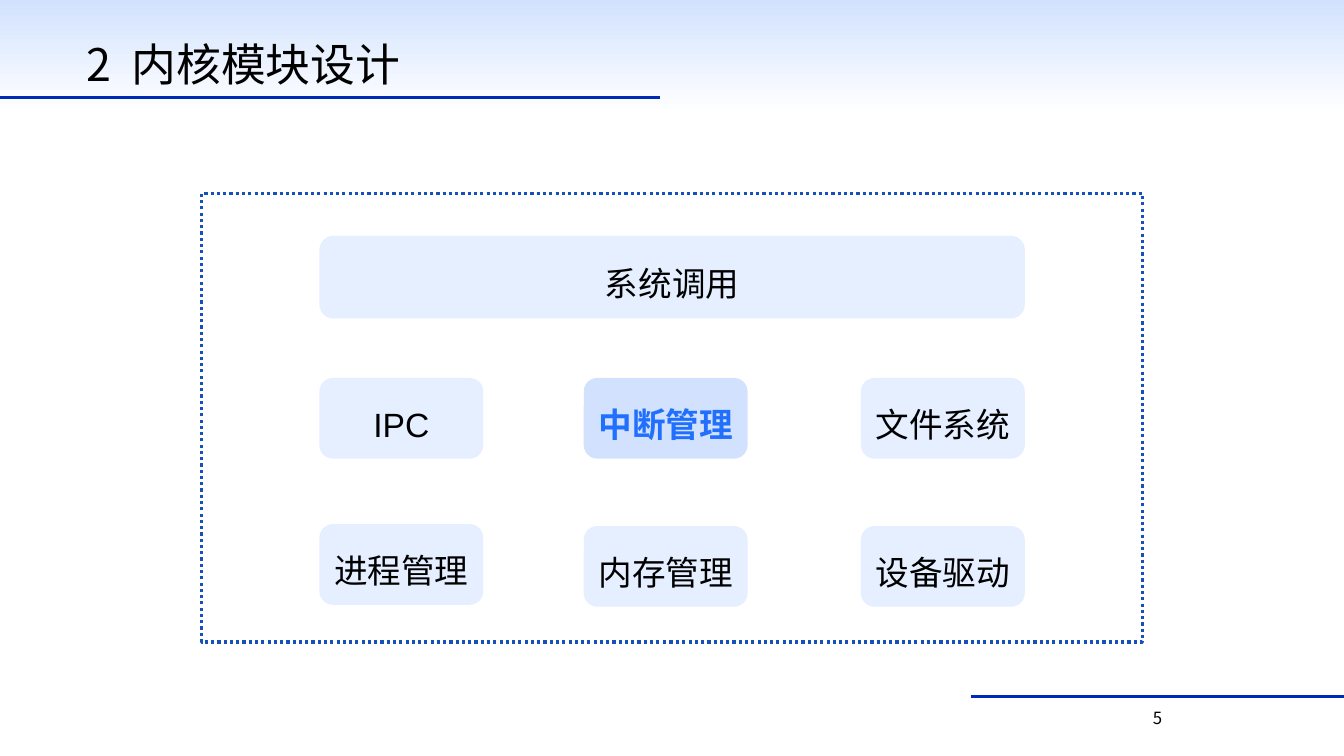
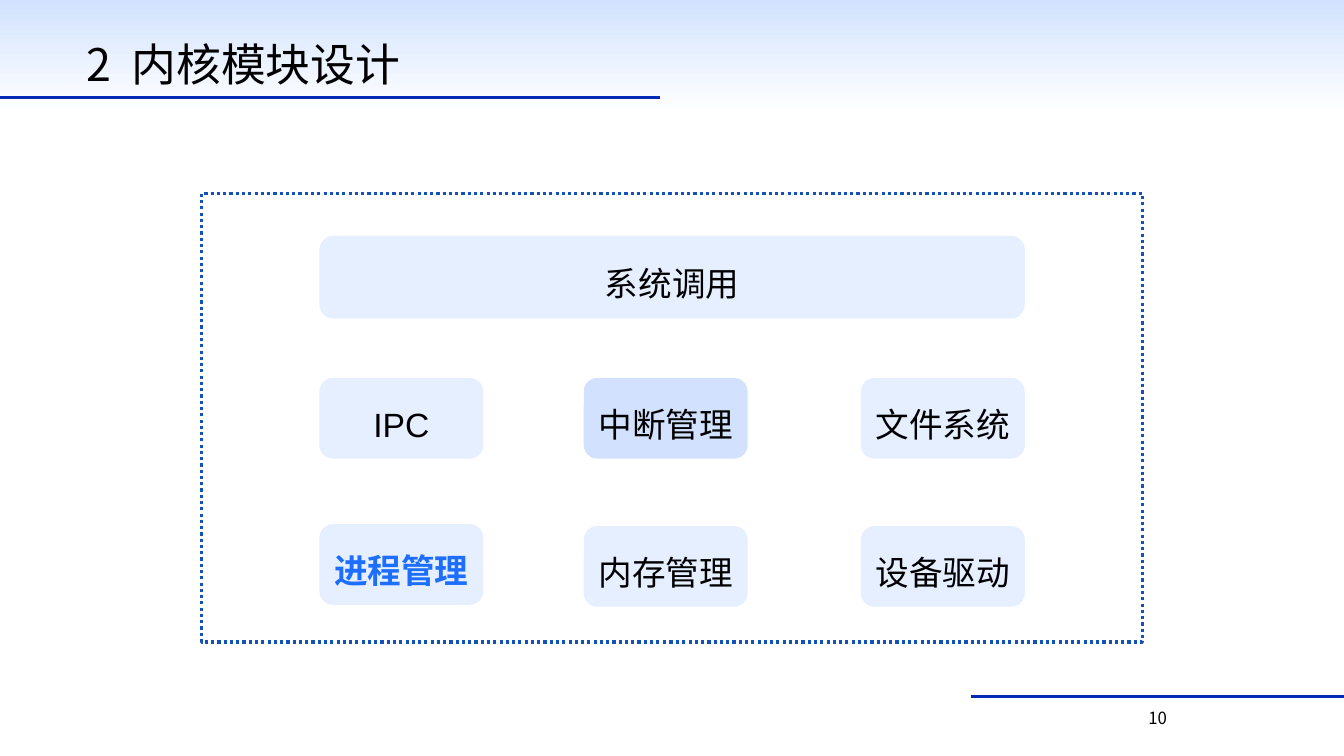
"""Builds the two kernel module overview slides."""
from dataclasses import dataclass

import pptx
import pptx.dml.color
import pptx.enum.dml
import pptx.enum.shapes
import pptx.enum.text
import pptx.oxml.ns
import pptx.util
from lxml import etree

Pt = pptx.util.Pt
ALIGN = pptx.enum.text.PP_ALIGN
ANCHOR = pptx.enum.text.MSO_ANCHOR
FIT = pptx.enum.text.MSO_AUTO_SIZE
SHAPE = pptx.enum.shapes.MSO_SHAPE


@dataclass(frozen=True)
class Theme:
    """Colours, fonts and type sizes of the deck."""
    text: str = "000000"
    paper: str = "FFFFFF"
    band: str = "D2E2FE"
    rule: str = "0029B5"
    frame: str = "1551BA"
    module: str = "E5EFFF"
    core_module: str = "D2E2FE"
    interrupt_accent: str = "2070FD"
    process_accent: str = "1D6EFC"
    latin: str = "Arial"
    chinese: str = "Noto Sans CJK SC"
    title_size: int = 32
    module_size: int = 24
    number_size: int = 12


THEME = Theme()
SLIDE_SIZE = (960, 540)
TITLE_NUMBER, TITLE_TEXT = "2 ", "内核模块设计"
TITLE_AREA = (54.7, 5, 294.5, 64.1)
TITLE_GAP = 3.5
NUMBER_AREA = (685.4, 497.5, 283, 26)
RULES = [(693.4, 960, 497.5), (0, 471.6, 69.8)]
FRAME_AREA = (144, 138.2, 672, 320.4)

COLUMNS = (228.2, 417, 615)
MODULE_SIZE = (117, 57.6)
CALLS_TOP, CALLS_HEIGHT = 168.5, 59
SYSTEM_CALLS = "系统调用"
CORE_MODULE = "中断管理"
MODULES = [
    [("IPC", 270), ("进程管理", 374.4)],
    [(CORE_MODULE, 270), ("内存管理", 375.8)],
    [("文件系统", 270), ("设备驱动", 375.8)],
]
PAGES = [
    {"number": "5", "focus": "中断管理", "accent": THEME.interrupt_accent},
    {"number": "10", "focus": "进程管理", "accent": THEME.process_accent},
]


def rgb(value):
    """Turns a hex string into a colour."""
    return pptx.dml.color.RGBColor.from_string(value)


def points(values):
    """Turns plain numbers into lengths."""
    return [Pt(value) for value in values]


def style(para, size, latin, align, spacing, color=THEME.text, bold=False):
    """Formats a paragraph and its font."""
    para.alignment, para.line_spacing = align, spacing
    font = para.font
    font.size, font.bold, font.name = Pt(size), bold, latin
    font.color.rgb = rgb(color)
    tag = pptx.oxml.ns.qn("a:ea")
    etree.SubElement(font._element, tag, typeface=THEME.chinese)


def paint_background(master):
    """Gives the master its fading top band."""
    fill = master.background.fill
    fill.gradient()
    fill.gradient_angle = 90
    stops = [(0.85, THEME.paper), (1, THEME.band)]
    for stop, (position, color) in zip(fill.gradient_stops, stops):
        stop.position, stop.color.rgb = position, rgb(color)


def add_rule(page, start, end, top):
    """Draws a horizontal rule."""
    rule = page.shapes.add_connector(
        pptx.enum.shapes.MSO_CONNECTOR.STRAIGHT,
        *points((start, top, end, top)))
    rule.line.color.rgb, rule.line.width = rgb(THEME.rule), Pt(1.75)
    etree.SubElement(rule._element.spPr, pptx.oxml.ns.qn("a:effectLst"))


def add_title(page):
    """Fills and places the title placeholder."""
    title = page.shapes.title
    title.left, title.top, title.width, title.height = points(TITLE_AREA)
    frame = title.text_frame
    frame.word_wrap, frame.auto_size = False, FIT.NONE
    frame.vertical_anchor = ANCHOR.BOTTOM
    para = frame.paragraphs[0]
    style(para, THEME.title_size, THEME.chinese, ALIGN.LEFT, 0.9)
    number, heading = para.add_run(), para.add_run()
    number.text, heading.text = TITLE_NUMBER, TITLE_TEXT
    number.font._element.set("spc", str(int(TITLE_GAP * 100)))


def add_number(page, number):
    """Writes the page number."""
    frame = page.shapes.add_textbox(*points(NUMBER_AREA)).text_frame
    frame.word_wrap, frame.auto_size = True, FIT.SHAPE_TO_FIT_TEXT
    frame.text = number
    style(frame.paragraphs[0], THEME.number_size, THEME.chinese,
          ALIGN.CENTER, 1.3)


def add_frame(page):
    """Draws the dotted kernel border."""
    frame = page.shapes.add_shape(SHAPE.RECTANGLE, *points(FRAME_AREA))
    frame.shadow.inherit = False
    frame.fill.background()
    frame.line.color.rgb, frame.line.width = rgb(THEME.frame), Pt(2.25)
    frame.line.dash_style = pptx.enum.dml.MSO_LINE.ROUND_DOT


def add_module(page, name, area, focus, accent):
    """Draws one module, accented when it is in focus."""
    box = page.shapes.add_shape(SHAPE.ROUNDED_RECTANGLE, *points(area))
    box.shadow.inherit = False
    box.fill.solid()
    box.fill.fore_color.rgb = rgb(
        THEME.core_module if name == CORE_MODULE else THEME.module)
    box.line.fill.background()
    frame = box.text_frame
    frame.word_wrap, frame.vertical_anchor = True, ANCHOR.MIDDLE
    frame.text = name
    focused = name == focus
    style(frame.paragraphs[0], THEME.module_size, THEME.latin, ALIGN.CENTER,
          1.3, accent if focused else THEME.text, focused)


def module_areas():
    """Yields each module name with its place."""
    for left, column in zip(COLUMNS, MODULES):
        for name, top in column:
            yield name, (left, top, *MODULE_SIZE)
    calls_width = COLUMNS[-1] + MODULE_SIZE[0] - COLUMNS[0]
    yield SYSTEM_CALLS, (COLUMNS[0], CALLS_TOP, calls_width, CALLS_HEIGHT)


def add_page(deck, number, focus, accent):
    """Adds one overview slide."""
    page = deck.slides.add_slide(deck.slide_layouts[5])
    for rule in RULES:
        add_rule(page, *rule)
    add_title(page)
    add_frame(page)
    for name, area in module_areas():
        add_module(page, name, area, focus, accent)
    add_number(page, number)


def main():
    """Builds and saves the deck."""
    deck = pptx.Presentation()
    deck.slide_width, deck.slide_height = points(SLIDE_SIZE)
    paint_background(deck.slide_master)
    for content in PAGES:
        add_page(deck, **content)
    deck.save("out.pptx")


if __name__ == "__main__":
    main()
